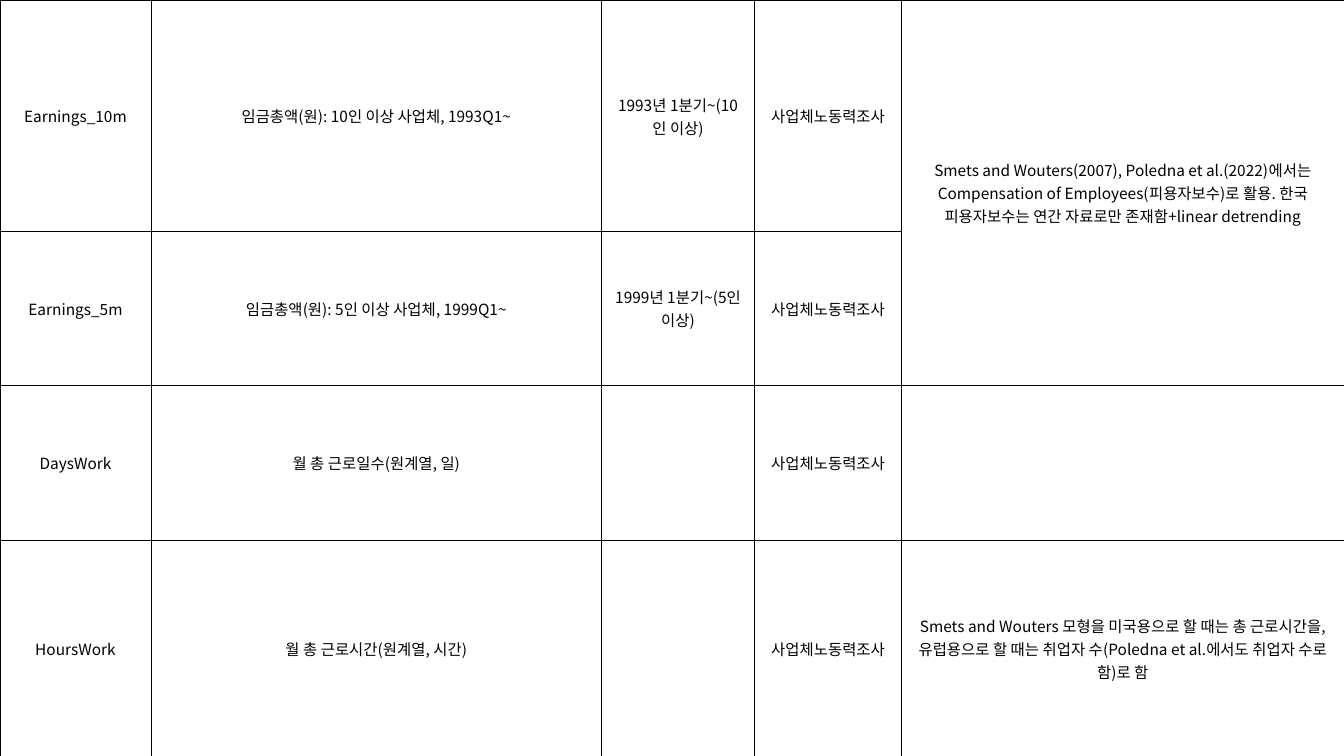
from dataclasses import dataclass

from lxml import etree
from pptx import Presentation, util as u
from pptx.dml.color import RGBColor
from pptx.enum import text
from pptx.oxml import ns

WIDTH, HEIGHT = 13.33, 7.5
FONT = "Noto Sans CJK KR"
COLORS = {"ink": "000000", "paper": "FFFFFF"}
COL_WEIGHTS = (1.5, 4.47, 1.52, 1.46, 4.39)
ROW_WEIGHTS = (2.29, 1.53, 1.53, 2.14)
SURVEY = "사업체노동력조사"


@dataclass
class Variable:
    name: str
    description: str
    period: str = ""
    source: str = SURVEY
    note: str = ""
    note_rows: int = 1

    def texts(self) -> tuple[str, ...]:
        return self.name, self.description, self.period, self.source, self.note


VARIABLES = [
    Variable("Earnings_10m", "임금총액(원): 10인 이상 사업체, 1993Q1~",
             "1993년 1분기~(10인 이상)",
             note="Smets and Wouters(2007), Poledna et al.(2022)에서는 "
                  "Compensation of Employees(피용자보수)로 활용. 한국 "
                  "피용자보수는 연간 자료로만 존재함+linear detrending",
             note_rows=2),
    Variable("Earnings_5m", "임금총액(원): 5인 이상 사업체, 1999Q1~",
             "1999년 1분기~(5인 이상)"),
    Variable("DaysWork", "월 총 근로일수(원계열, 일)"),
    Variable("HoursWork", "월 총 근로시간(원계열, 시간)",
             note="Smets and Wouters 모형을 미국용으로 할 때는 총 근로시간을, "
                  "유럽용으로 할 때는 취업자 수(Poledna et al.에서도 "
                  "취업자 수로 함)로 함"),
]


def write(tf, content: str, *, size: float = 11, color: str = "ink",
          align=text.PP_ALIGN.CENTER, spacing: float = 1.03) -> None:
    p = tf.paragraphs[0]
    p.alignment, p.line_spacing = align, spacing
    r = p.add_run()
    r.text = content
    r.font.size, r.font.name = u.Pt(size), FONT
    r.font.color.rgb = RGBColor.from_string(COLORS[color])
    ea = etree.SubElement(r.font._element, ns.qn("a:ea"))
    ea.set("typeface", FONT)


def set_borders(cell, *, width: float = 0.6, color: str = "ink") -> None:
    props = cell._tc.get_or_add_tcPr()
    for i, side in enumerate(("lnL", "lnR", "lnT", "lnB")):
        ln = etree.Element(ns.qn(f"a:{side}"), w=str(u.Pt(width)))
        fill = etree.SubElement(ln, ns.qn("a:solidFill"))
        etree.SubElement(fill, ns.qn("a:srgbClr"), val=COLORS[color])
        props.insert(i, ln)


def share(weights: tuple[float, ...], total: int) -> list[int]:
    return [round(total * w / sum(weights)) for w in weights]


prs = Presentation()
prs.slide_width, prs.slide_height = u.Inches(WIDTH), u.Inches(HEIGHT)
s = prs.slides.add_slide(prs.slide_layouts[6])

# Table grid over the whole slide
table = s.shapes.add_table(len(ROW_WEIGHTS), len(COL_WEIGHTS), 0, 0,
                           prs.slide_width, prs.slide_height).table
table.first_row = table.horz_banding = False
for col, width in zip(table.columns, share(COL_WEIGHTS, prs.slide_width)):
    col.width = width
for row, height in zip(table.rows, share(ROW_WEIGHTS, prs.slide_height)):
    row.height = height

# One row for each variable
for i, variable in enumerate(VARIABLES):
    for j, content in enumerate(variable.texts()):
        cell = table.cell(i, j)
        cell.fill.solid()
        cell.fill.fore_color.rgb = RGBColor.from_string(COLORS["paper"])
        cell.vertical_anchor = text.MSO_ANCHOR.MIDDLE
        set_borders(cell)
        if content:
            write(cell.text_frame, content)

# Notes shared by several variables
last = len(COL_WEIGHTS) - 1
for i, variable in enumerate(VARIABLES):
    if variable.note_rows > 1:
        table.cell(i, last).merge(table.cell(i + variable.note_rows - 1, last))

prs.save("out.pptx")
